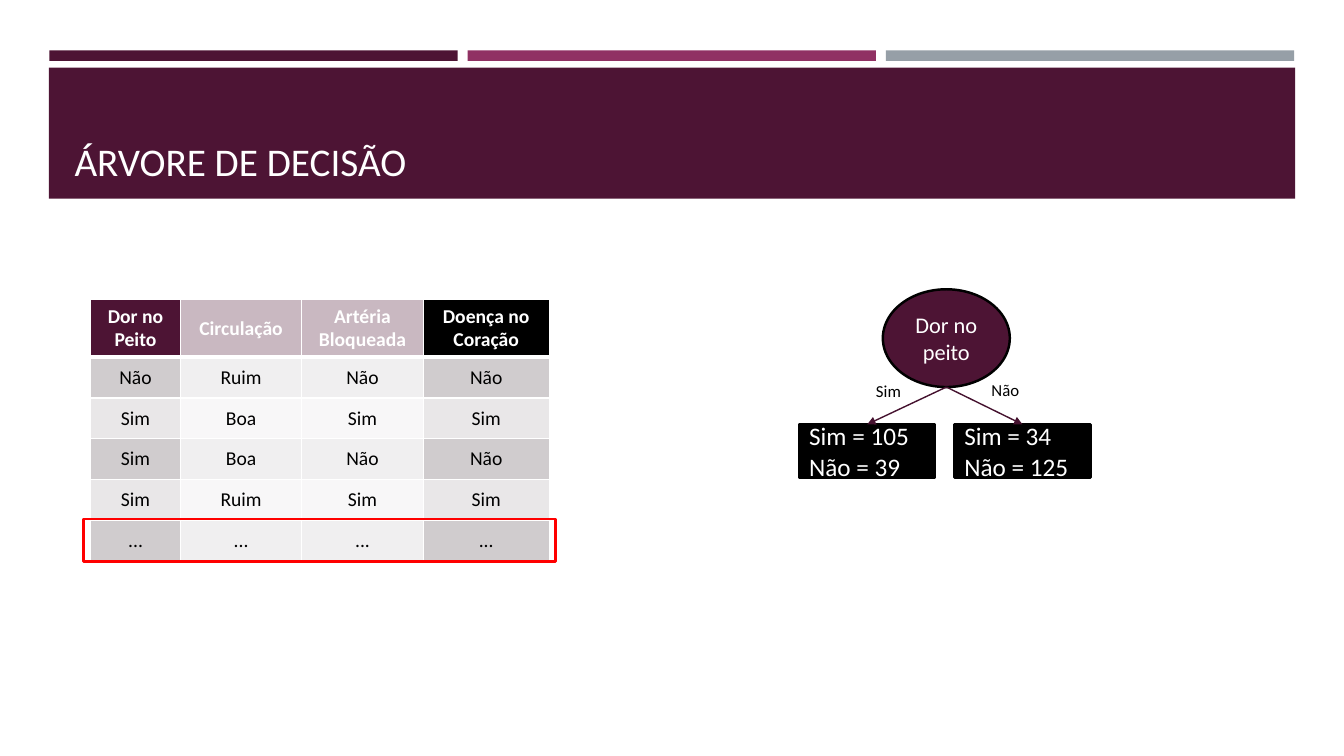
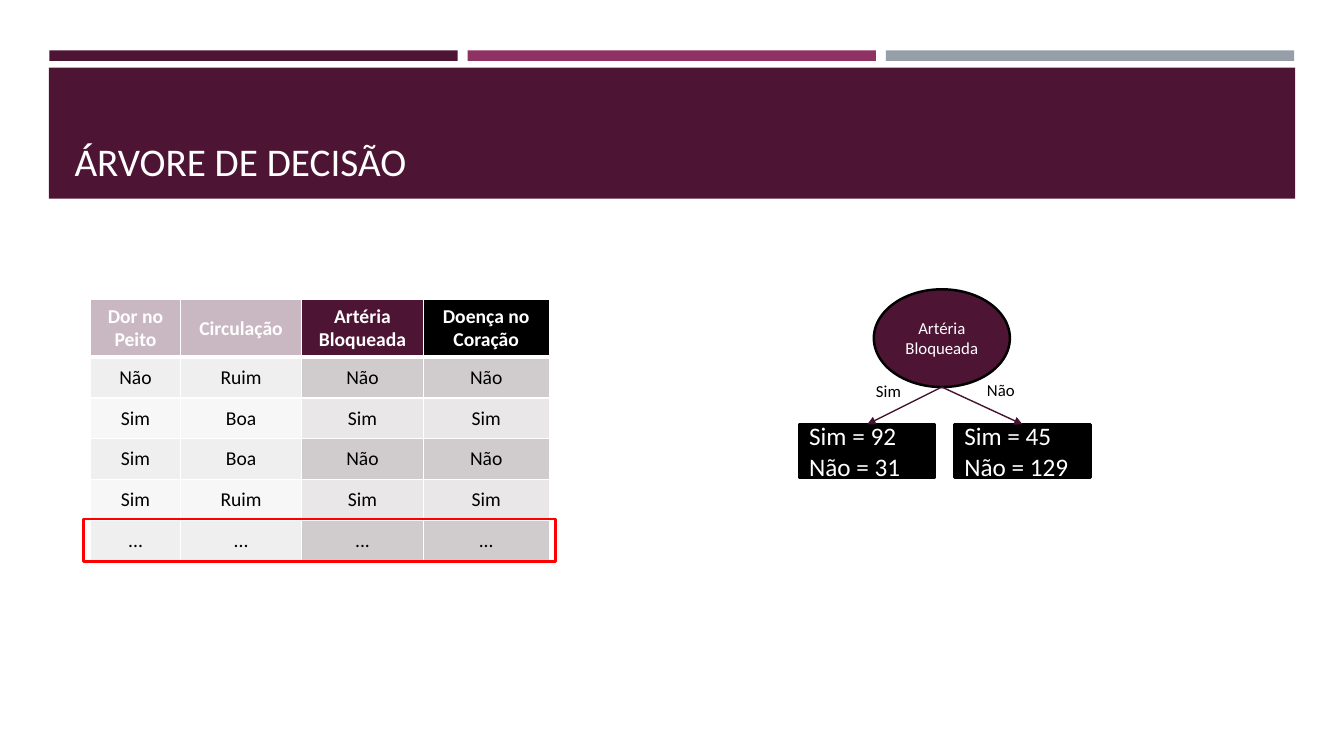
from lxml.etree import SubElement
from pptx import Presentation
from pptx.dml.color import RGBColor
from pptx.enum.shapes import MSO_CONNECTOR as CONNECTOR, MSO_SHAPE as SHAPE
from pptx.enum.text import MSO_ANCHOR as ANCHOR, MSO_AUTO_SIZE as AUTO_SIZE, PP_ALIGN as ALIGN
from pptx.oxml.ns import qn
from pptx.util import Emu, Pt

FONT = "Calibri"
TITLE = "ÁRVORE DE DECISÃO"
PLUM = RGBColor(0x4D, 0x14, 0x34)
MAGENTA = RGBColor(0x90, 0x31, 0x63)
SLATE = RGBColor(0x96, 0x9F, 0xA7)
ARROW = RGBColor(0x45, 0x12, 0x2F)
STRIPES = (RGBColor(0xD0, 0xCC, 0xCE), RGBColor(0xE9, 0xE7, 0xE8))
WHITE = RGBColor(0xFF, 0xFF, 0xFF)
BLACK = RGBColor(0, 0, 0)
RED = RGBColor(0xFF, 0, 0)

PX_PER_INCH = 200
TABLE_LEFT, TABLE_TOP = 180, 594
COLUMN_WIDTHS = (178, 241, 241, 250)
HEADER_HEIGHT, ROW_HEIGHT = 113, 81
NODE_RIGHT, NODE_TOP, NODE_HEIGHT = 2004, 574, 194
LEAF_LEFT, LEAF_TOP, LEAF_WIDTH, LEAF_HEIGHT, LEAF_PITCH = 1586, 842, 270, 106, 308
LABEL_WIDTH, LABEL_HEIGHT, NO_LABEL_RIGHT = 98, 60, 2044

PATIENTS = (
    ("Dor no Peito", "Circulação", "Artéria Bloqueada", "Doença no Coração"),
    ("Não", "Ruim", "Não", "Não"),
    ("Sim", "Boa", "Sim", "Sim"),
    ("Sim", "Boa", "Não", "Não"),
    ("Sim", "Ruim", "Sim", "Sim"),
    ("...", "...", "...", "..."),
)


def px(*lengths):
    return [Emu(length * 914400 // PX_PER_INCH) for length in lengths]


def write(frame, lines, size, color, align, bold=False):
    frame.text = "\n".join(lines)
    for para in frame.paragraphs:
        para.alignment = align
        para.font.name = FONT
        para.font.size = Pt(size)
        para.font.color.rgb = color
        para.font.bold = bold


def add_box(slide, kind, area, fill=None, line=None):
    box = slide.shapes.add_shape(kind, *px(*area))
    box.shadow.inherit = False
    if fill is None:
        box.fill.background()
    else:
        box.fill.solid()
        box.fill.fore_color.rgb = fill
    if line is None:
        box.line.fill.background()
    else:
        box.line.color.rgb = line
        box.line.width = Pt(1.75)
    return box


def add_arrow(slide, start, end):
    arrow = slide.shapes.add_connector(CONNECTOR.STRAIGHT, *px(*start, *end))
    arrow.line.color.rgb = ARROW
    arrow.line.width = Pt(1)
    SubElement(arrow.line._get_or_add_ln(), qn("a:tailEnd"), type="triangle")
    SubElement(arrow.element.spPr, qn("a:effectLst"))


def add_label(slide, text, left, top, width):
    label = slide.shapes.add_textbox(*px(left, top, width, LABEL_HEIGHT))
    label.text_frame.word_wrap = True
    label.text_frame.auto_size = AUTO_SIZE.SHAPE_TO_FIT_TEXT
    write(label.text_frame, [text], 12, BLACK, ALIGN.CENTER)


def set_borders(cell, top, bottom):
    properties = cell._tc.get_or_add_tcPr()
    for side, points in (("L", 1), ("R", 1), ("T", top), ("B", bottom)):
        border = SubElement(properties, qn(f"a:ln{side}"), w=str(Pt(points)))
        paint = SubElement(border, qn("a:solidFill"))
        SubElement(paint, qn("a:srgbClr"), val=str(WHITE))


def fill_cell(cell, color, faded):
    cell.fill.solid()
    cell.fill.fore_color.rgb = color
    if faded:
        paint = cell._tc.tcPr.find(qn("a:solidFill")).find(qn("a:srgbClr"))
        SubElement(paint, qn("a:alpha"), val="30000")


def add_patient_table(slide, active_column):
    row_count, last_column = len(PATIENTS), len(COLUMN_WIDTHS) - 1
    height = HEADER_HEIGHT + ROW_HEIGHT * (row_count - 1)
    area = px(TABLE_LEFT, TABLE_TOP, sum(COLUMN_WIDTHS), height)
    table = slide.shapes.add_table(row_count, last_column + 1, *area).table
    table.first_row = table.horz_banding = False
    for column, width in zip(table.columns, px(*COLUMN_WIDTHS)):
        column.width = width
    for r, values in enumerate(PATIENTS):
        header = r == 0
        table.rows[r].height = px(HEADER_HEIGHT if header else ROW_HEIGHT)[0]
        for c, value in enumerate(values):
            cell = table.cell(r, c)
            cell.vertical_anchor = ANCHOR.MIDDLE
            write(cell.text_frame, [value], 14, WHITE if header else BLACK, ALIGN.CENTER, header)
            set_borders(cell, 3 if r == 1 else 1, 3 if header else 1)
            if header:
                color = BLACK if c == last_column else PLUM
            else:
                color = STRIPES[(r - 1) % 2]
            fill_cell(cell, color, c not in (active_column, last_column))
    add_box(slide, SHAPE.RECTANGLE, (166, 1030, 936, 84), line=RED)


def add_tree(slide, question, size, node_width, no_label_width, leaves):
    node_left = NODE_RIGHT - node_width
    node_area = (node_left, NODE_TOP, node_width, NODE_HEIGHT)
    node = add_box(slide, SHAPE.OVAL, node_area, PLUM, BLACK)
    write(node.text_frame, [question], size, WHITE, ALIGN.CENTER)
    node_bottom = (node_left + node_width // 2, NODE_TOP + NODE_HEIGHT)
    for i, (yes, no) in enumerate(leaves):
        left = LEAF_LEFT + i * LEAF_PITCH
        area = (left, LEAF_TOP, LEAF_WIDTH, LEAF_HEIGHT)
        leaf = add_box(slide, SHAPE.RECTANGLE, area, BLACK, BLACK)
        write(leaf.text_frame, [f"Sim = {yes}", f"Não = {no}"], 18, WHITE, ALIGN.JUSTIFY)
        add_arrow(slide, node_bottom, (left + LEAF_WIDTH // 2, LEAF_TOP))
    add_label(slide, "Sim", 1714, 746, LABEL_WIDTH)
    add_label(slide, "Não", NO_LABEL_RIGHT - no_label_width, 744, no_label_width)


def style_layout(layout, slide):
    bands = [((98 + 830 * i, 100, 810, 21), color) for i, color in enumerate((PLUM, MAGENTA, SLATE))]
    bands.append(((97, 134, 2473, 260), PLUM))
    for i, (area, color) in enumerate(bands):
        band = add_box(slide, SHAPE.RECTANGLE, area, color)
        band.element.nvSpPr.cNvPr.set("id", str(101 + i))
        layout.shapes.element.insert(2 + i, band.element)
    title = layout.placeholders[0]
    title.left, title.top, title.width, title.height = px(128, 154, 2412, 222)
    title.text_frame.vertical_anchor = ANCHOR.BOTTOM


def main():
    deck = Presentation()
    deck.slide_width, deck.slide_height = px(2667, 1500)
    layout = deck.slide_layouts[5]
    trees = (
        (0, "Dor no peito", 16, 252, LABEL_WIDTH, ((105, 39), (34, 125))),
        (2, "Artéria Bloqueada", 12, 270, 116, ((92, 31), (45, 129))),
    )
    for i, (active_column, *tree) in enumerate(trees):
        slide = deck.slides.add_slide(layout)
        if i == 0:
            style_layout(layout, slide)
        write(slide.shapes.title.text_frame, [TITLE], 28, WHITE, ALIGN.LEFT)
        add_patient_table(slide, active_column)
        add_tree(slide, *tree)
    deck.save("out.pptx")


if __name__ == "__main__":
    main()
